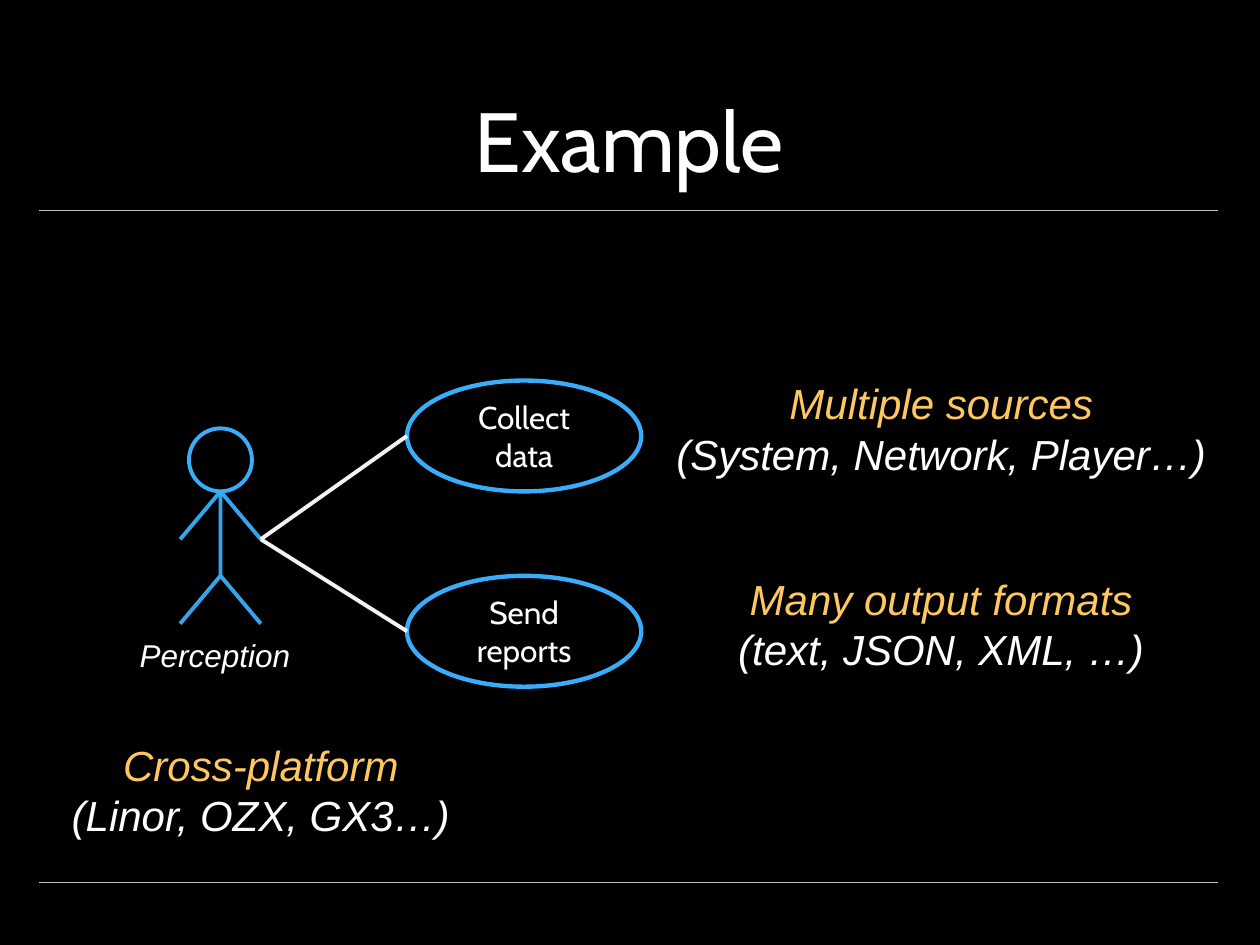
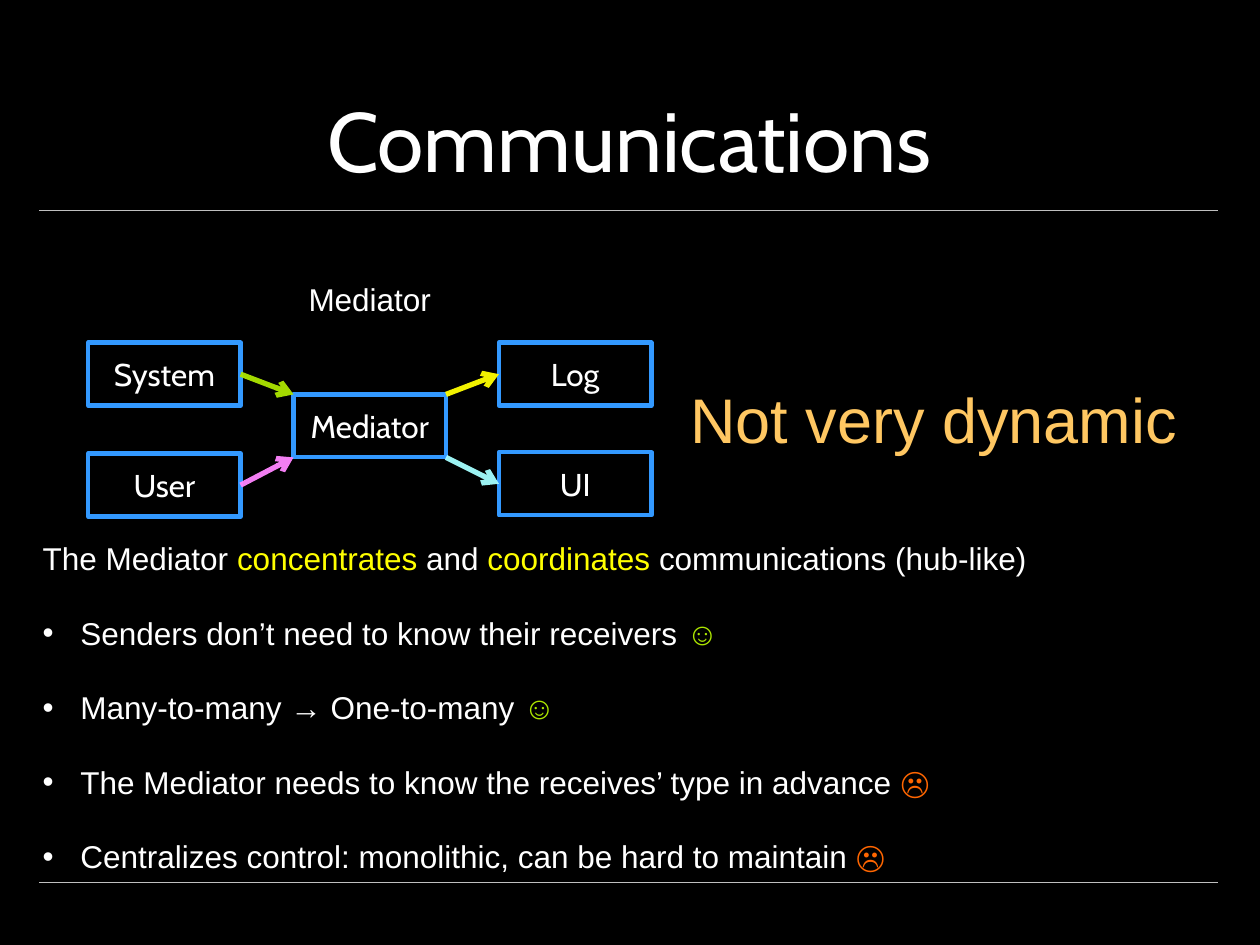
from dataclasses import dataclass
from typing import NamedTuple, Optional

from lxml.etree import SubElement
from pptx import Presentation
from pptx.dml.color import RGBColor
from pptx.enum.shapes import MSO_CONNECTOR, MSO_SHAPE
from pptx.enum.text import MSO_ANCHOR, PP_ALIGN
from pptx.oxml.ns import qn
from pptx.util import Emu, Pt

EMU_PER_PX = 9144
SLIDE_W, SLIDE_H = 1000, 750
BLACK = RGBColor(0x00, 0x00, 0x00)
WHITE = RGBColor(0xFF, 0xFF, 0xFF)
RULE_GREY = RGBColor(0xBF, 0xBF, 0xBF)
SKY = RGBColor(0x39, 0xAD, 0xF9)
BLUE = RGBColor(0x33, 0x99, 0xFF)
AMBER = RGBColor(0xFF, 0xC7, 0x62)
YELLOW = RGBColor(0xFF, 0xFF, 0x00)
GREEN = RGBColor(0xAC, 0xE5, 0x00)
PINK = RGBColor(0xFF, 0x85, 0xFF)
CYAN = RGBColor(0xA5, 0xFF, 0xFF)
ORANGE = RGBColor(0xFF, 0x66, 0x00)
HEAD_FONT, BODY_FONT = "Cabin", "Arial"
LINE_ALPHA = "95000"
BULLET_INDENT = 30


class Point(NamedTuple):
    x: int
    y: int


class Box(NamedTuple):
    x: int
    y: int
    w: int
    h: int

    def at(self, across: float, down: float) -> Point:
        return Point(round(self.x + across * self.w), round(self.y + down * self.h))


class Run(NamedTuple):
    text: str
    color: RGBColor = WHITE


@dataclass(frozen=True)
class Style:
    size: int = 18
    font: str = BODY_FONT
    italic: bool = False
    align: PP_ALIGN = PP_ALIGN.CENTER
    anchor: MSO_ANCHOR = MSO_ANCHOR.TOP


@dataclass(frozen=True)
class Node:
    label: str
    box: Box


@dataclass(frozen=True)
class Callout:
    heading: str
    detail: str
    box: Box


@dataclass(frozen=True)
class Arrow:
    start: Point
    end: Point
    color: RGBColor


TITLE = Style(48, HEAD_FONT, anchor=MSO_ANCHOR.BOTTOM)
NODE = Style(font=HEAD_FONT, anchor=MSO_ANCHOR.MIDDLE)
LABEL = Style()
ACTOR_LABEL = Style(italic=True, align=PP_ALIGN.LEFT)
CALLOUT = Style(24, italic=True)
VERDICT = Style(36)
NOTES = Style(align=PP_ALIGN.LEFT)


def px(length: int) -> Emu:
    return Emu(length * EMU_PER_PX)


def px_all(lengths: tuple) -> list:
    return [px(length) for length in lengths]


def write(tf, paragraphs: list, style: Style) -> None:
    tf.word_wrap = True
    tf.vertical_anchor = style.anchor
    for i, runs in enumerate(paragraphs):
        p = tf.add_paragraph() if i else tf.paragraphs[0]
        p.alignment = style.align
        for run in runs:
            r = p.add_run()
            r.text = run.text
            r.font.size = Pt(style.size)
            r.font.name = style.font
            r.font.italic = style.italic
            r.font.color.rgb = run.color


def add_text(s, box: Box, paragraphs: list, style: Style):
    tf = s.shapes.add_textbox(*px_all(box)).text_frame
    write(tf, paragraphs, style)
    return tf


def add_outline(s, kind: MSO_SHAPE, box: Box, color: RGBColor, width: float,
                label: str = "") -> None:
    sp = s.shapes.add_shape(kind, *px_all(box))
    sp.shadow.inherit = False
    sp.fill.background()
    sp.line.color.rgb = color
    sp.line.width = Pt(width)
    if label:
        write(sp.text_frame, [[Run(label)]], NODE)


def add_line(s, start: Point, end: Point, color: RGBColor, width: float,
             alpha: Optional[str] = LINE_ALPHA, arrow: bool = False) -> None:
    line = s.shapes.add_connector(MSO_CONNECTOR.STRAIGHT, *px_all(start + end))
    line.line.color.rgb = color
    line.line.width = Pt(width)
    sp_pr = line.element.spPr
    ln = sp_pr.find(qn("a:ln"))
    if alpha:
        SubElement(next(ln.iter(qn("a:srgbClr"))), qn("a:alpha"), val=alpha)
    if arrow:
        SubElement(ln, qn("a:tailEnd"), type="arrow")
    SubElement(sp_pr, qn("a:effectLst"))


def add_bullet(p) -> None:
    p_pr = p._p.get_or_add_pPr()
    p_pr.set("marL", str(px(BULLET_INDENT)))
    p_pr.set("indent", str(-px(BULLET_INDENT)))
    SubElement(p_pr, qn("a:buFont"), typeface=BODY_FONT)
    SubElement(p_pr, qn("a:buChar"), char="•")


def add_slide(prs, title: str):
    s = prs.slides.add_slide(prs.slide_layouts[6])
    s.background.fill.solid()
    s.background.fill.fore_color.rgb = BLACK
    for y in (167, 700):
        add_line(s, Point(31, y), Point(967, y), RULE_GREY, 0.25, alpha=None)
    add_text(s, Box(70, 12, 859, 143), [[Run(title)]], TITLE)
    return s


def add_actor(s, name: str) -> Point:
    neck, hip = Point(175, 390), Point(175, 457)
    reach, drop = 32, 38
    add_outline(s, MSO_SHAPE.OVAL, Box(neck.x - 25, neck.y - 50, 50, 50), SKY, 2.25)
    add_line(s, neck, hip, SKY, 2.25)
    for joint in (neck, hip):
        for side in (-1, 1):
            end = Point(joint.x + side * reach, joint.y + drop)
            add_line(s, joint, end, SKY, 2.25)
    add_text(s, Box(101, 500, 147, 40), [[Run(name)]], ACTOR_LABEL)
    return Point(neck.x + reach, neck.y + drop)


def build_example(prs) -> None:
    s = add_slide(prs, "Example")
    hand = add_actor(s, "Perception")
    use_cases = [
        Node("Collect data", Box(323, 302, 186, 88)),
        Node("Send reports", Box(323, 457, 186, 88)),
    ]
    for case in use_cases:
        add_outline(s, MSO_SHAPE.OVAL, case.box, SKY, 2.5, case.label)
        add_line(s, hand, case.box.at(0, 0.5), WHITE, 2.25)
    callouts = [
        Callout("Multiple sources", "(System, Network, Player…)", Box(516, 295, 462, 91)),
        Callout("Many output formats", "(text, JSON, XML, …)", Box(569, 450, 356, 91)),
        Callout("Cross-platform", "(Linor, OZX, GX3…)", Box(29, 582, 356, 91)),
    ]
    for c in callouts:
        add_text(s, c.box, [[Run(c.heading, AMBER)], [Run(c.detail)]], CALLOUT)


def build_communications(prs) -> None:
    s = add_slide(prs, "Communications")
    system = Node("System", Box(70, 272, 121, 50))
    user = Node("User", Box(70, 360, 121, 50))
    log = Node("Log", Box(396, 272, 121, 50))
    ui = Node("UI", Box(396, 359, 121, 50))
    mediator = Node("Mediator", Box(233, 313, 121, 50))
    for node in (system, user, log, ui, mediator):
        add_outline(s, MSO_SHAPE.RECTANGLE, node.box, BLUE, 2.5, node.label)

    hub = mediator.box
    arrows = [
        Arrow(system.box.at(1, 0.5), hub.at(0, 0), GREEN),
        Arrow(user.box.at(1, 0.5), hub.at(0, 1), PINK),
        Arrow(hub.at(1, 0), log.box.at(0, 0.5), YELLOW),
        Arrow(hub.at(1, 1), ui.box.at(0, 0.5), CYAN),
    ]
    for a in arrows:
        add_line(s, a.start, a.end, a.color, 3, arrow=True)
    add_text(s, Box(233, 217, 121, 40), [[Run("Mediator")]], LABEL)

    happy, sad = Run("☺", GREEN), Run("☹", ORANGE)
    summary = [
        Run("The Mediator "), Run("concentrates ", YELLOW), Run("and "),
        Run("coordinates", YELLOW), Run(" communications (hub-like)"),
    ]
    points = [
        [Run("Senders don’t need to know their receivers "), happy],
        [Run("Many-to-many → One-to-many "), happy],
        [Run("The Mediator needs to know the receives’ type in advance "), sad],
        [Run("Centralizes control: monolithic, can be hard to maintain "), sad],
    ]
    tf = add_text(s, Box(24, 423, 809, 283), [summary, *points], NOTES)
    for p in tf.paragraphs[1:]:
        p.space_before = Pt(21)
        add_bullet(p)
    add_text(s, Box(537, 297, 408, 71), [[Run("Not very dynamic", AMBER)]], VERDICT)


def main() -> None:
    prs = Presentation()
    prs.slide_width, prs.slide_height = px(SLIDE_W), px(SLIDE_H)
    build_example(prs)
    build_communications(prs)
    prs.save("out.pptx")


if __name__ == "__main__":
    main()
